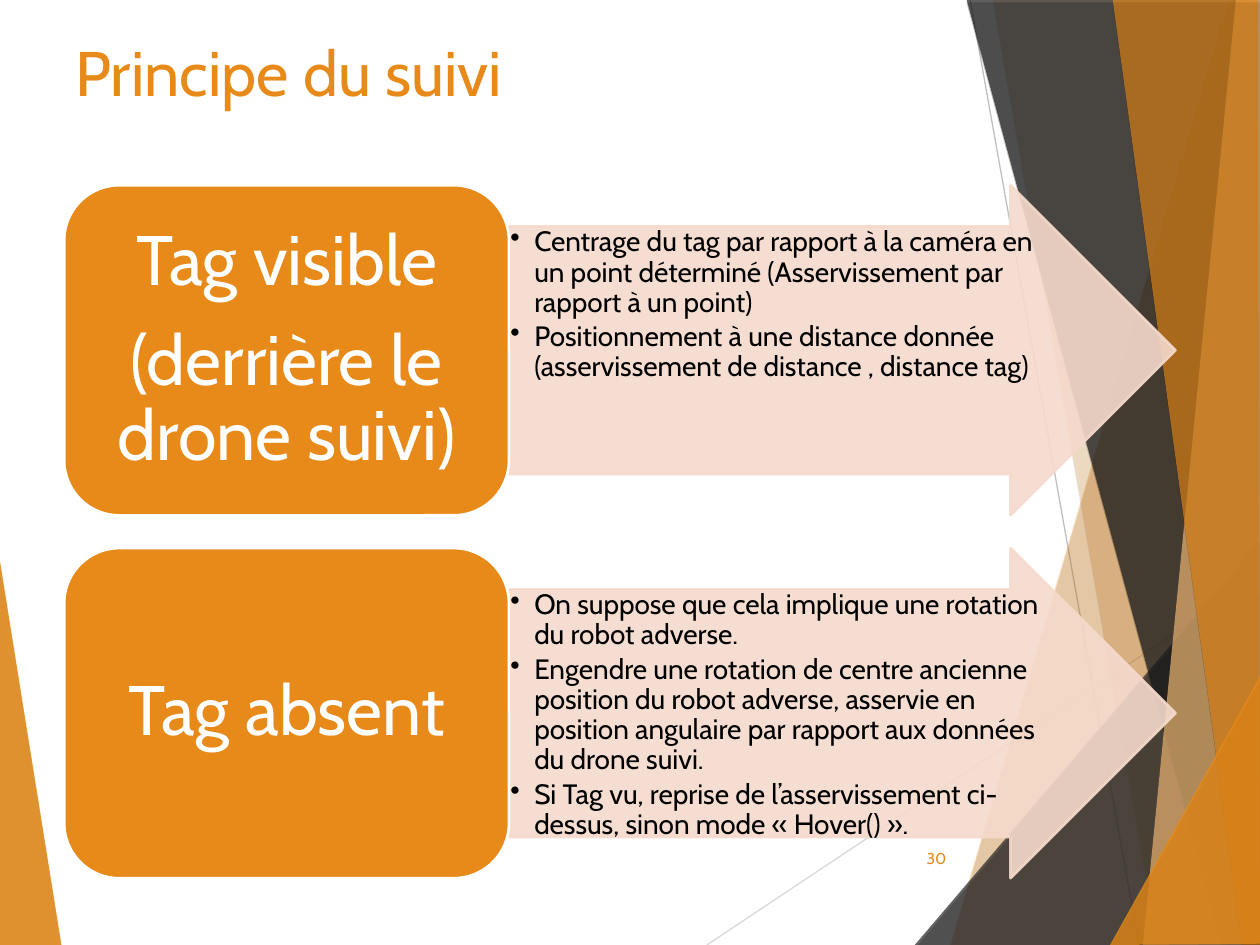
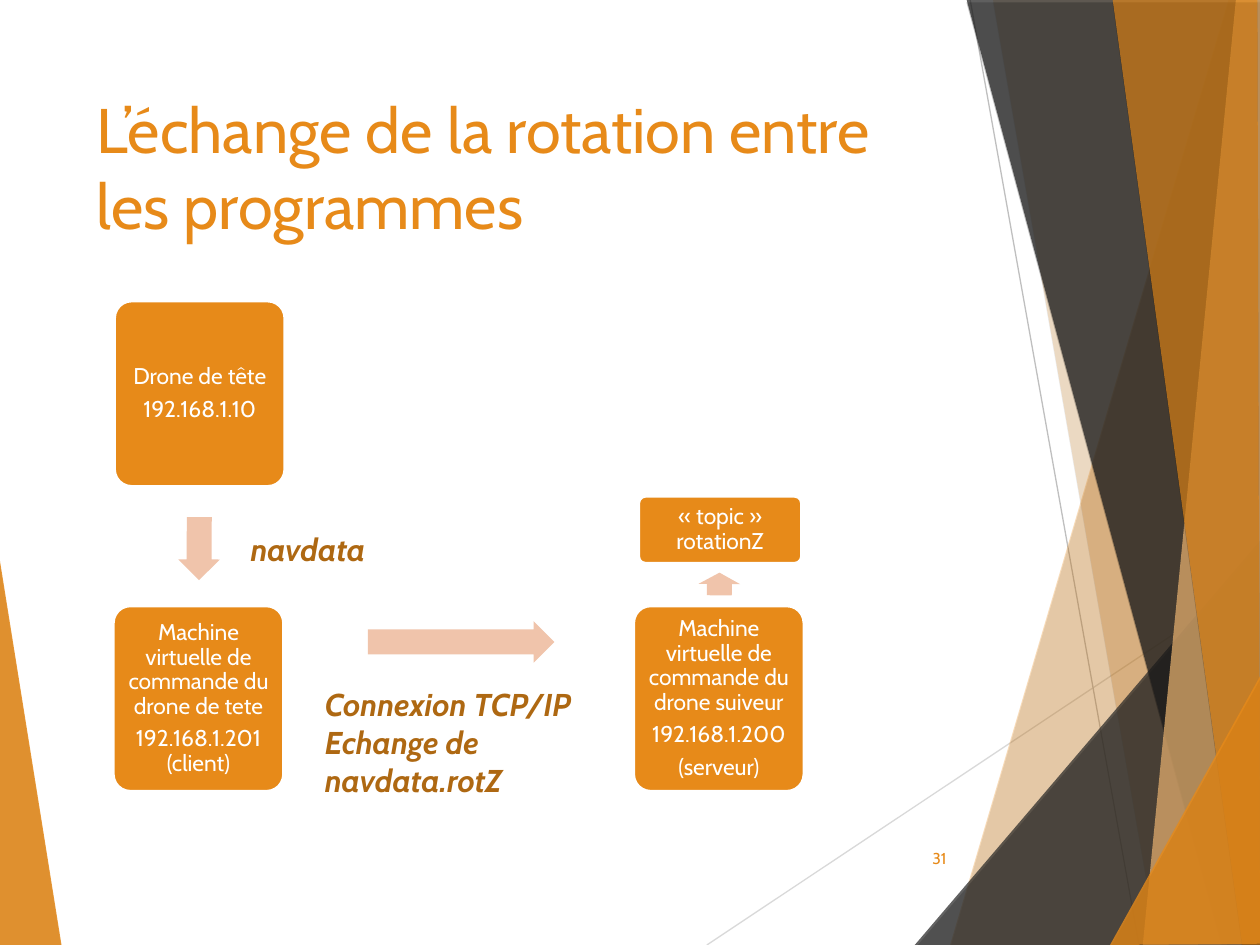
from dataclasses import dataclass

from lxml import etree
from pptx import Presentation
from pptx.dml.color import RGBColor
from pptx.enum.shapes import MSO_CONNECTOR, MSO_SHAPE
from pptx.enum.text import MSO_ANCHOR, PP_ALIGN
from pptx.oxml.ns import qn
from pptx.util import Inches, Pt

LINE = MSO_CONNECTOR.STRAIGHT
ARROW, ROUND = MSO_SHAPE.RIGHT_ARROW, MSO_SHAPE.ROUNDED_RECTANGLE
TOP, MIDDLE = MSO_ANCHOR.TOP, MSO_ANCHOR.MIDDLE
LEFT, CENTER, RIGHT = PP_ALIGN.LEFT, PP_ALIGN.CENTER, PP_ALIGN.RIGHT

FONT = "Cabin"
COLORS = {
    "orange": "E78A19",
    "sand": "F1B975",
    "brown": "AE6812",
    "coal": "262626",
    "soot": "1C1C1C",
    "mist": "D9D9D9",
    "gray": "BFBFBF",
    "blush": "F5DACC",
    "peach": "F0C4AB",
    "white": "FFFFFF",
    "black": "000000",
}


@dataclass
class Box:
    left: float
    top: float
    width: float
    height: float

    def emu(self) -> list:
        return [Inches(v) for v in (self.left, self.top, self.width, self.height)]


@dataclass
class Style:
    size: float
    color: str
    align: int = LEFT
    anchor: int = TOP
    inset: tuple = (0.1, 0.05, 0.1, 0.05)
    spacing: float = 1.0
    after: float = 0
    strong: bool = False
    bullet: bool = False
    wrap: bool = True


@dataclass
class Facet:
    """A translucent polygon of the backdrop."""
    color: str
    alpha: int
    points: list


@dataclass
class Ray:
    color: str
    start: tuple
    end: tuple


@dataclass
class Case:
    label: str
    steps: str


@dataclass
class Node:
    box: Box
    text: str


@dataclass
class Flow:
    box: Box
    turn: float = 0


BACKDROP = [
    Facet("orange", 85, [(-0.01, 4.39), (0.49, 7.51), (-0.01, 7.5)]),
    Ray("mist", (5.61, 7.5), (10.01, 4.57)),
    Ray("gray", (7.7, 0), (9.04, 7.5)),
    Facet("orange", 30, [(9.75, 0), (7.54, 7.5), (10.02, 7.51), (10.01, 0.01)]),
    Facet("orange", 20, [(7.88, -0.01), (9.19, 7.5), (10.01, 7.5), (10.01, -0.01)]),
    Facet("coal", 72, [(7.26, 7.5), (10, 4.29), (10.01, 7.5)]),
    Facet("soot", 70, [(7.67, -0.01), (9.7, 7.5), (10.01, 7.49), (10.01, -0.01)]),
    Facet("sand", 70, [(9.81, -0.01), (9.07, 7.5), (10.01, 7.5), (10, -0.01)]),
    Facet("orange", 65, [(8.83, -0.01), (9.86, 7.5), (10, 7.5), (9.98, -0.01)]),
    Facet("orange", 80, [(8.81, 7.5), (10.01, 5.35), (10.01, 7.49)]),
]

TITLE = Style(36, "orange")
NUMBER = Style(9, "orange", RIGHT, MIDDLE)
LABEL = Style(40, "white", CENTER, MIDDLE, (0.17, 0.21, 0.17, 0.21), 0.9, 14)
STEPS = Style(16, "black", inset=(0.01, 0.01, 0.01, 0.01), spacing=0.9,
              after=2.4, bullet=True)
NODE = Style(13, "white", CENTER, MIDDLE, (0.05, 0.07, 0.05, 0.07), 0.9, 4.6)
NOTE = Style(18, "brown", strong=True)
TAG = Style(18, "brown", strong=True, wrap=False)

CASES = [
    Case("Tag visible\n(derrière le drone suivi)",
         "Centrage du tag par rapport à la caméra en un point déterminé "
         "(Asservissement par rapport à un point)\n"
         "Positionnement à une distance donnée "
         "(asservissement de distance , distance tag)"),
    Case("Tag absent",
         "On suppose que cela implique une rotation du robot adverse.\n"
         "Engendre une rotation de centre ancienne position du robot adverse, "
         "asservie en position angulaire par rapport aux données du drone suivi.\n"
         "Si Tag vu, reprise de l’asservissement ci-dessus, "
         "sinon mode « Hover() »."),
]

NODES = [
    Node(Box(0.91, 2.39, 1.35, 1.47), "Drone de tête\n192.168.1.10"),
    Node(Box(0.9, 4.81, 1.35, 1.47),
         "Machine virtuelle de commande du drone de tete\n192.168.1.201 (client)"),
    Node(Box(5.03, 4.81, 1.35, 1.47),
         "Machine virtuelle de commande du drone suiveur\n192.168.1.200\n(serveur)"),
    Node(Box(5.07, 3.94, 1.29, 0.53), "« topic » rotationZ"),
]
FLOWS = [
    Flow(Box(1.33, 4.19, 0.5, 0.33), 90.3),
    Flow(Box(2.92, 4.93, 1.48, 0.33)),
    Flow(Box(5.62, 4.47, 0.18, 0.33), 270.5),
]


def rgb(name: str) -> RGBColor:
    return RGBColor.from_string(COLORS[name])


def fade(shape, alpha: int) -> None:
    """Give every colour of the shape's fill and line this opacity."""
    for color in shape.element.spPr.iter(qn("a:srgbClr")):
        etree.SubElement(color, qn("a:alpha"), val=str(alpha * 1000))


def shade(shape) -> None:
    """Cast a faint shadow straight down."""
    effects = shape.element.spPr.find(qn("a:effectLst"))
    shadow = etree.SubElement(effects, qn("a:outerShdw"), blurRad="0",
                              dist=str(Pt(2)), dir="5400000", rotWithShape="0")
    color = etree.SubElement(shadow, qn("a:srgbClr"), val=COLORS["black"])
    etree.SubElement(color, qn("a:alpha"), val="35000")


def paint(shape, fill: str, edge: str = "", alpha: int = 100) -> None:
    shape.shadow.inherit = False
    shape.fill.solid()
    shape.fill.fore_color.rgb = rgb(fill)
    if edge:
        shape.line.color.rgb = rgb(edge)
        shape.line.width = Pt(1.5)
    else:
        shape.line.fill.background()
    if alpha < 100:
        fade(shape, alpha)


def write(shape, text: str, style: Style) -> None:
    frame = shape.text_frame
    frame.text = text
    frame.word_wrap = style.wrap
    frame.vertical_anchor = style.anchor
    (frame.margin_left, frame.margin_top, frame.margin_right,
     frame.margin_bottom) = [Inches(v) for v in style.inset]
    for para in frame.paragraphs:
        para.alignment = style.align
        para.line_spacing = style.spacing
        para.space_after = Pt(style.after)
        if style.bullet:
            props = para._p.get_or_add_pPr()
            props.set("marL", str(Inches(0.19)))
            props.set("indent", str(-Inches(0.19)))
            etree.SubElement(props, qn("a:buChar"), char="•")
        for run in para.runs:
            font = run.font
            font.name, font.size = FONT, Pt(style.size)
            font.bold = font.italic = style.strong
            font.color.rgb = rgb(style.color)


def add_text(slide, box: Box, text: str, style: Style) -> None:
    write(slide.shapes.add_textbox(*box.emu()), text, style)


def add_round(slide, box: Box, bend: float, text: str, style: Style) -> None:
    shape = slide.shapes.add_shape(ROUND, *box.emu())
    shape.adjustments[0] = bend
    paint(shape, "orange", "white")
    write(shape, text, style)


def add_arrow(slide, box: Box, shaft: float):
    shape = slide.shapes.add_shape(ARROW, *box.emu())
    shape.adjustments[0] = shaft
    shape.adjustments[1] = 0.5
    return shape


def add_facet(slide, facet: Facet) -> None:
    first, *rest = [(Inches(x), Inches(y)) for x, y in facet.points]
    pen = slide.shapes.build_freeform(*first)
    pen.add_line_segments(rest, close=True)
    shape = pen.convert_to_shape()
    paint(shape, facet.color, alpha=facet.alpha)
    shade(shape)


def add_ray(slide, ray: Ray) -> None:
    ends = [Inches(v) for v in ray.start + ray.end]
    line = slide.shapes.add_connector(LINE, *ends)
    line.line.color.rgb = rgb(ray.color)
    line.line.width = Pt(0.75)
    etree.SubElement(line.element.spPr, qn("a:effectLst"))


def add_slide(deck, title: str, box: Box):
    """Add a blank slide with the backdrop and its title."""
    slide = deck.slides.add_slide(deck.slide_layouts[6])
    for part in BACKDROP:
        draw = add_facet if isinstance(part, Facet) else add_ray
        draw(slide, part)
    add_text(slide, box, title, TITLE)
    return slide


def add_number(slide, number: int) -> None:
    add_text(slide, Box(7.05, 6.61, 0.56, 0.4), str(number), NUMBER)


def build_cases(deck) -> None:
    slide = add_slide(deck, "Principe du suivi", Box(0.5, 0.22, 9, 1.25))
    for row, case in enumerate(CASES):
        top = 1.47 + 2.88 * row
        arrow = add_arrow(slide, Box(4.04, top, 5.29, 2.62), 0.75)
        paint(arrow, "blush", "blush", 90)
        write(arrow, case.steps, STEPS)
        add_round(slide, Box(0.51, top, 3.53, 2.62), 0.167, case.label, LABEL)
    add_number(slide, 30)


def build_flow(deck) -> None:
    slide = add_slide(deck, "L’échange de la rotation entre les programmes",
                      Box(0.67, 0.67, 6.94, 1.44))
    for node in NODES:
        add_round(slide, node.box, 0.1, node.text, NODE)
    for flow in FLOWS:
        arrow = add_arrow(slide, flow.box, 0.6)
        arrow.rotation = flow.turn
        paint(arrow, "peach")
    add_text(slide, Box(1.89, 4.16, 1.17, 0.4), "navdata", TAG)
    add_text(slide, Box(2.48, 5.39, 2.45, 1),
             "Connexion TCP/IP\nEchange de navdata.rotZ", NOTE)
    add_number(slide, 31)


def main() -> None:
    deck = Presentation()
    deck.slide_width, deck.slide_height = Inches(10), Inches(7.5)
    build_cases(deck)
    build_flow(deck)
    deck.save("out.pptx")


if __name__ == "__main__":
    main()
